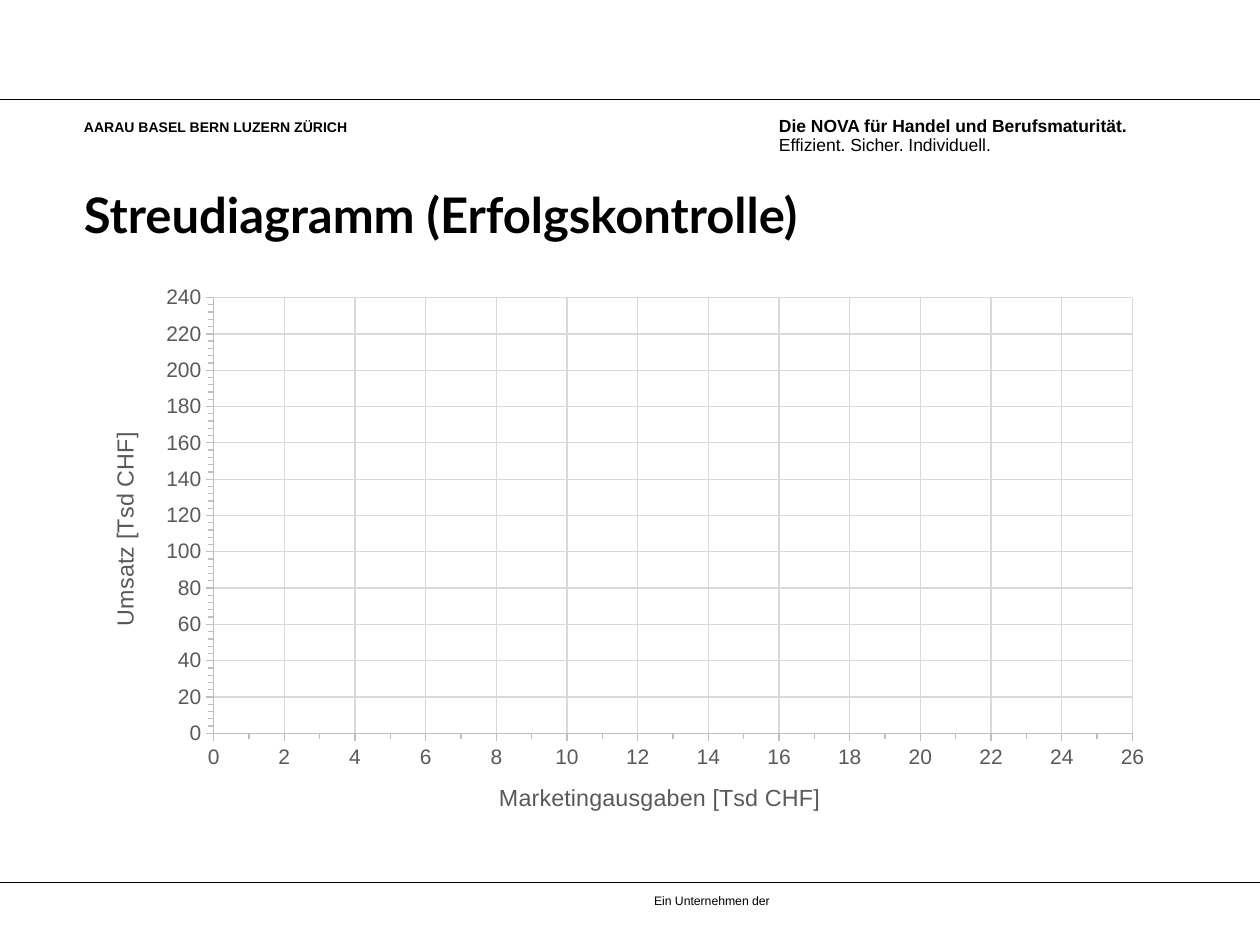
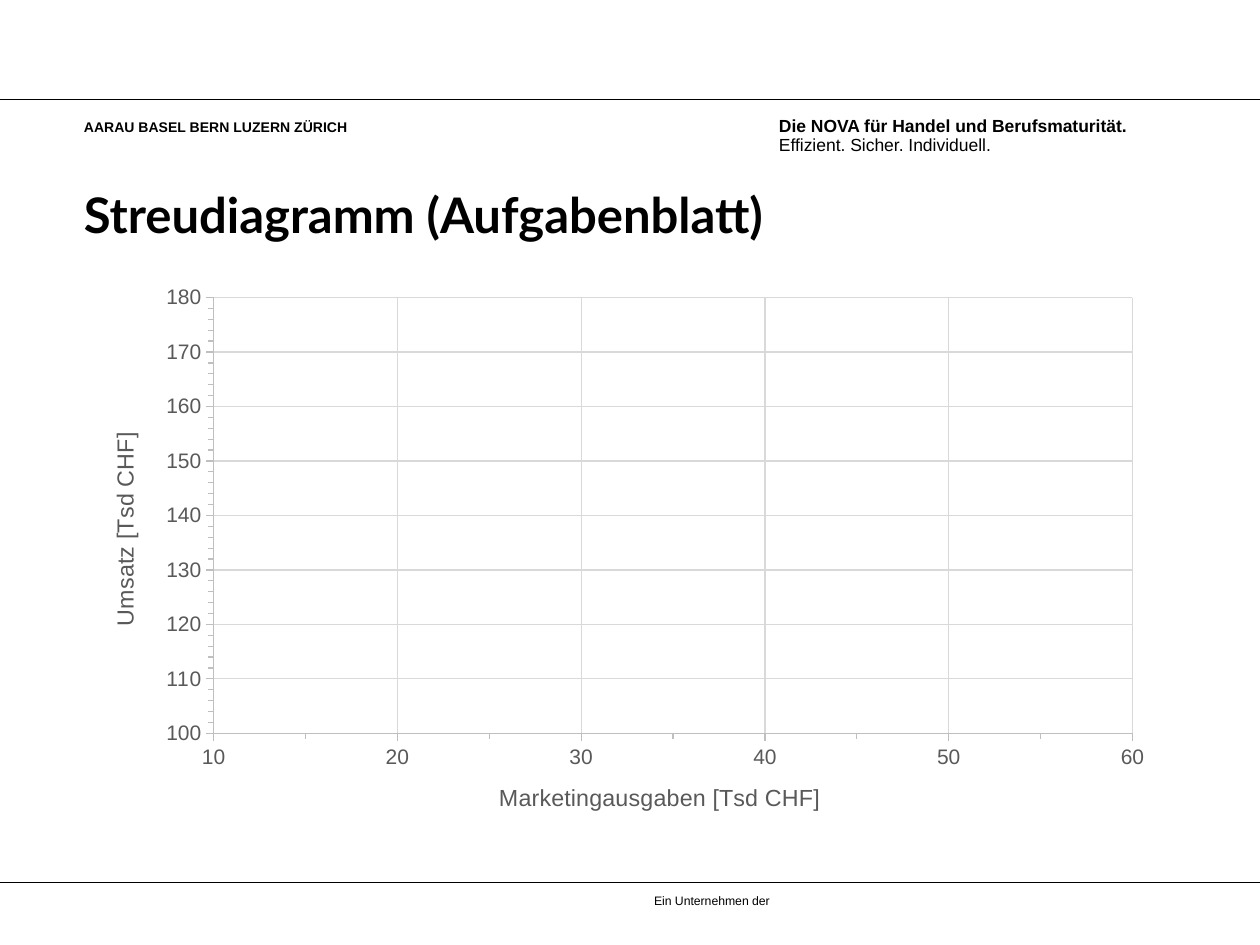
"""Build two slides with empty scatter charts for marketing spend and revenue."""
from lxml.etree import SubElement
from pptx import Presentation
from pptx.chart.data import XyChartData
from pptx.dml.color import RGBColor
from pptx.enum.chart import XL_CHART_TYPE, XL_MARKER_STYLE, XL_TICK_MARK
from pptx.enum.shapes import MSO_CONNECTOR
from pptx.oxml.ns import qn
from pptx.util import Emu, Pt

BLACK = RGBColor(0x00, 0x00, 0x00)
WHITE = RGBColor(0xFF, 0xFF, 0xFF)
TEXT_GRAY = RGBColor(0x59, 0x59, 0x59)
AXIS_GRAY = RGBColor(0xBF, 0xBF, 0xBF)
GRID_GRAY = RGBColor(0xD9, 0xD9, 0xD9)
PX = 914400 / 126
WIDTH, HEIGHT = 1260, 945

BOLD10 = {"name": "Arial", "size": Pt(10), "bold": True}
PLAIN10 = {"name": "Arial", "size": Pt(10), "bold": False}
BOLD8 = {"name": "Arial", "size": Pt(8), "bold": True}
PLAIN7 = {"name": "Arial", "size": Pt(7), "bold": False}
TITLE = {"name": "Lato", "size": Pt(28), "bold": True}
AXIS = {"name": "Arial", "size": Pt(12), "bold": False}
AXIS_TITLE = {"name": "Arial", "size": Pt(13.3), "bold": False}

SHARED_TEXTS = [
    ((779, 117, 390, 39), Pt(11), [
        ("Die NOVA für Handel und Berufsmaturität.", BOLD10),
        ("Effizient. Sicher. Individuell.", PLAIN10)]),
    ((84, 116, 390, 20), Pt(11), [("AARAU BASEL BERN LUZERN ZÜRICH", BOLD8)]),
    ((654, 896, 169, 13), Pt(7), [("Ein Unternehmen der", PLAIN7)]),
]
RULES = [99, 882]
AXIS_LABELS = [
    ("Marketingausgaben [Tsd CHF]", 0, {"x": 0.38, "y": 0.89}),
    ("Umsatz [Tsd CHF]", -5400000, {"x": 0.02, "y": 0.27}),
]
PLOT = {"x": 0.12, "y": 0.04, "w": 0.85, "h": 0.77}
REVENUES = [None] * 5 + [50]
SLIDES = [
    ("Streudiagramm (Erfolgskontrolle)", [(0, 26, 2, 1), (0, 240, 20, 4)]),
    ("Streudiagramm (Aufgabenblatt)", [(10, 60, 10, 5), (100, 180, 10, 2)]),
]


def add_text(s, box, spacing, lines):
    tf = s.shapes.add_textbox(*[Emu(round(v * PX)) for v in box]).text_frame
    tf.word_wrap = True
    for side in ("left", "top", "right", "bottom"):
        setattr(tf, f"margin_{side}", 0)
    for i, (text, style) in enumerate(lines):
        p = tf.add_paragraph() if i else tf.paragraphs[0]
        p.line_spacing = spacing
        r = p.add_run()
        r.text = text
        r.font.color.rgb = BLACK
        for key, value in style.items():
            setattr(r.font, key, value)


def set_layout(parent, index, values, inner=False):
    for old in parent.findall(qn("c:layout")):
        parent.remove(old)
    layout = SubElement(parent, qn("c:layout"))
    parent.insert(index, layout)
    manual = SubElement(layout, qn("c:manualLayout"))
    if inner:
        SubElement(manual, qn("c:layoutTarget")).set("val", "inner")
    for key in "xy":
        SubElement(manual, qn(f"c:{key}Mode")).set("val", "edge")
    for key, value in values.items():
        SubElement(manual, qn(f"c:{key}")).set("val", str(value))


prs = Presentation()
prs.slide_width = Emu(round(WIDTH * PX))
prs.slide_height = Emu(round(HEIGHT * PX))

for title, scales in SLIDES:
    s = prs.slides.add_slide(prs.slide_layouts[6])
    for y in RULES:
        ends = [Emu(round(v * PX)) for v in (0, y, WIDTH, y)]
        line = s.shapes.add_connector(MSO_CONNECTOR.STRAIGHT, *ends)
        line.line.color.rgb = BLACK
        line.line.width = Pt(0.35)
        SubElement(line._element.spPr, qn("a:effectLst"))
    for box, spacing, lines in SHARED_TEXTS:
        add_text(s, box, spacing, lines)
    add_text(s, (84, 185, 1081, 63), 1.0, [(title, TITLE)])

    data = XyChartData()
    points = data.add_series("Series 1")
    for revenue in REVENUES:
        points.add_data_point(2020, revenue)
    frame = [Emu(round(v * PX)) for v in (84, 275, 1081, 566)]
    chart = s.shapes.add_chart(XL_CHART_TYPE.XY_SCATTER, *frame, data).chart
    chart.has_legend = False
    chart.has_title = False
    chart.font.name = "Arial"
    chart.font.size = Pt(10)
    chart.font.color.rgb = BLACK
    chart.plots[0].vary_by_categories = False
    set_layout(chart._chartSpace.chart.plotArea, 0, PLOT, inner=True)

    series = chart.plots[0].series[0]
    for pt in list(series._element.iter(qn("c:pt"))):
        if pt.findtext(qn("c:v")) == "None":
            pt.getparent().remove(pt)
    series.smooth = False
    series.format.line.fill.background()
    series.marker.style = XL_MARKER_STYLE.CIRCLE
    series.marker.size = 5
    series.marker.format.fill.solid()
    series.marker.format.fill.fore_color.rgb = WHITE
    series.marker.format.line.fill.background()

    axes = (chart.category_axis, chart.value_axis)
    for axis, scale, (label, rotation, place) in zip(axes, scales, AXIS_LABELS):
        low, high, major, minor = scale
        settings = {
            "minimum_scale": low, "maximum_scale": high,
            "major_unit": major, "minor_unit": minor,
            "has_major_gridlines": True, "has_minor_gridlines": False,
            "major_tick_mark": XL_TICK_MARK.OUTSIDE,
            "minor_tick_mark": XL_TICK_MARK.OUTSIDE,
        }
        for key, value in settings.items():
            setattr(axis, key, value)
        for fmt, color in ((axis.format, AXIS_GRAY),
                           (axis.major_gridlines.format, GRID_GRAY)):
            fmt.line.color.rgb = color
            fmt.line.width = Pt(0.75)
        tf = axis.axis_title.text_frame
        tf.text = label
        tf._txBody.bodyPr.set("rot", str(rotation))
        tf._txBody.bodyPr.set("vert", "horz")
        set_layout(axis.axis_title._element, 1, place)
        for font, style in ((axis.tick_labels.font, AXIS),
                            (tf.paragraphs[0].runs[0].font, AXIS_TITLE)):
            font.color.rgb = TEXT_GRAY
            for key, value in style.items():
                setattr(font, key, value)
        axis.tick_labels.number_format = "General"
        axis.tick_labels.number_format_is_linked = False

prs.save("out.pptx")
